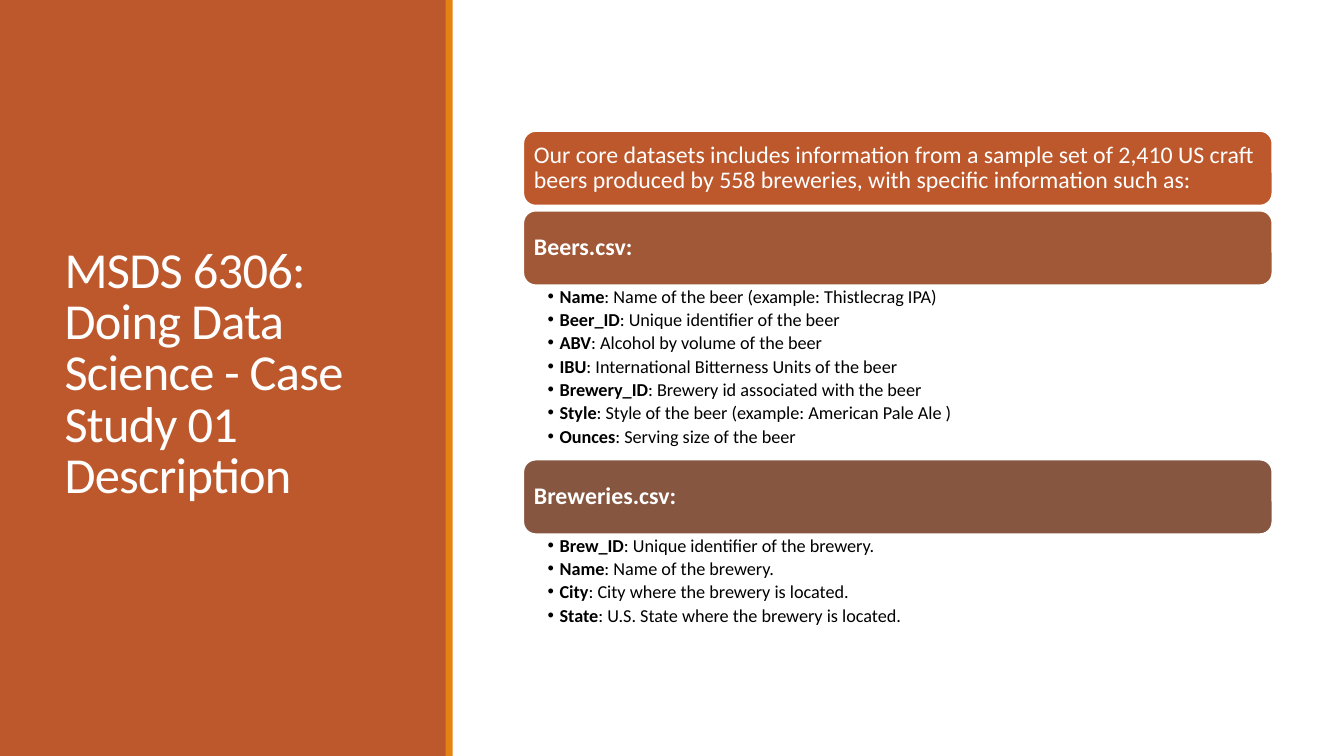
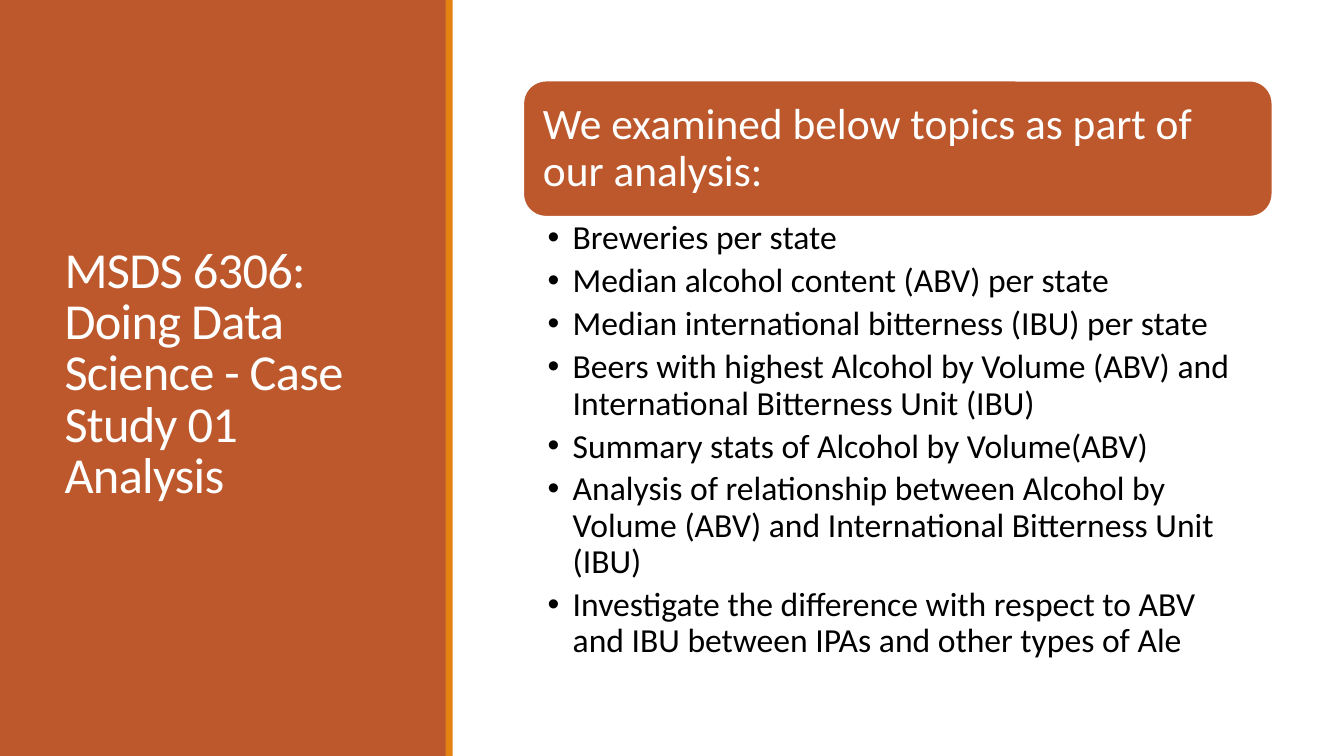
"""Build two case study slides with a title panel and headed lists."""
from pptx import Presentation
from pptx.dml.color import RGBColor
from pptx.enum.shapes import MSO_SHAPE
from pptx.enum.text import MSO_ANCHOR, MSO_AUTO_SIZE, PP_ALIGN
from pptx.util import Inches, Pt

RUST = RGBColor(0xBD, 0x58, 0x2C)
ORANGE = RGBColor(0xE4, 0x83, 0x12)
SIENNA = RGBColor(0xA0, 0x58, 0x37)
BROWN = RGBColor(0x86, 0x56, 0x40)
WHITE = RGBColor(0xFF, 0xFF, 0xFF)
BLACK = RGBColor(0, 0, 0)
FONT = "Calibri"
LEFT, WIDTH = 5.19, 7.43
GAP = 0.05
TITLE = "MSDS 6306: Doing Data Science - Case Study 01 "

BEERS = [
    ("Name", ": Name of the beer (example: Thistlecrag IPA)"),
    ("Beer_ID", ": Unique identifier of the beer"),
    ("ABV", ": Alcohol by volume of the beer"),
    ("IBU", ": International Bitterness Units of the beer"),
    ("Brewery_ID", ": Brewery id associated with the beer"),
    ("Style", ": Style of the beer (example: American Pale Ale )"),
    ("Ounces", ": Serving size of the beer"),
]
BREWERIES = [
    ("Brew_ID", ": Unique identifier of the brewery."),
    ("Name", ": Name of the brewery."),
    ("City", ": City where the brewery is located."),
    ("State", ": U.S. State where the brewery is located."),
]
TOPICS = [
    ("", "Breweries per state"),
    ("", "Median alcohol content (ABV) per state"),
    ("", "Median international bitterness (IBU) per state"),
    ("", "Beers with highest Alcohol by Volume (ABV) and International Bitterness Unit (IBU)"),
    ("", "Summary stats of Alcohol by Volume(ABV)"),
    ("", "Analysis of relationship between Alcohol by Volume (ABV) and International Bitterness Unit (IBU)"),
    ("", "Investigate the difference with respect to ABV and IBU between IPAs and other types of Ale"),
]


def place(sp, left, top, width, height):
    """Move and size a shape, in inches."""
    sp.left, sp.top = Inches(left), Inches(top)
    sp.width, sp.height = Inches(width), Inches(height)


def set_frame(tf, anchor, left, top, right, bottom):
    """Set anchor, wrapping and insets of a text frame."""
    tf.word_wrap = True
    tf.auto_size = MSO_AUTO_SIZE.NONE
    tf.vertical_anchor = anchor
    tf.margin_left, tf.margin_right = Inches(left), Inches(right)
    tf.margin_top, tf.margin_bottom = Inches(top), Inches(bottom)


def set_paragraph(p, line_spacing, after=0):
    """Left-align a paragraph and set its spacing."""
    p.alignment = PP_ALIGN.LEFT
    p.line_spacing = line_spacing
    p.space_before, p.space_after = Pt(0), Pt(after)


def add_run(p, text, size, color, bold=False):
    """Append a formatted run."""
    r = p.add_run()
    r.text = text
    r.font.name, r.font.size, r.font.bold = FONT, Pt(size), bold
    r.font.color.rgb = color
    return r


def add_box(slide, kind, box, fill):
    """Add a filled shape without outline or shadow."""
    sp = slide.shapes.add_shape(kind, *map(Inches, box))
    sp.shadow.inherit = False
    sp.fill.solid()
    sp.fill.fore_color.rgb = fill
    sp.line.fill.background()
    return sp


def add_master_panel(prs, slide):
    """Draw the side panel and its stripe, and move both to the master."""
    bands = [((0, 0, 4.43, 7.5), RUST), ((4.42, 0, 0.07, 7.5), ORANGE)]
    for i, (box, fill) in enumerate(bands):
        el = add_box(slide, MSO_SHAPE.RECTANGLE, box, fill).element
        el.nvSpPr.cNvPr.set("id", str(100 + i))
        prs.slide_master.shapes.element.insert(2 + i, el)


def set_title(slide, topic):
    """Fill the title placeholder on the side panel."""
    sp = slide.shapes.title
    place(sp, 0.54, 0.57, 3.37, 6.31)
    set_frame(sp.text_frame, MSO_ANCHOR.MIDDLE, 0.1, 0.05, 0.1, 0.05)
    p = sp.text_frame.paragraphs[0]
    set_paragraph(p, 0.85)
    r = add_run(p, TITLE + topic, 36, WHITE)
    r.font._element.set("spc", "-50")


def add_header(slide, text, top, height, fill, size, inset, bold=False):
    """Add a rounded header bar."""
    sp = add_box(slide, MSO_SHAPE.ROUNDED_RECTANGLE, (LEFT, top, WIDTH, height), fill)
    sp.line.color.rgb, sp.line.width = WHITE, Pt(1.25)
    set_frame(sp.text_frame, MSO_ANCHOR.MIDDLE, inset, inset, inset, inset)
    p = sp.text_frame.paragraphs[0]
    set_paragraph(p, 0.9)
    add_run(p, text, size, WHITE, bold)


def fill_list(sp, items, top, height, size, indent, insets):
    """Fill a body placeholder with bullets, each an optional bold term and a text."""
    place(sp, LEFT, top, WIDTH, height)
    tf = sp.text_frame
    set_frame(tf, MSO_ANCHOR.TOP, *insets)
    for i, (term, text) in enumerate(items):
        p = tf.add_paragraph() if i else tf.paragraphs[0]
        set_paragraph(p, 0.9, 0.2 * size)
        pPr = p._p.get_or_add_pPr()
        pPr.set("marL", str(Inches(indent)))
        pPr.set("indent", str(-Inches(indent)))
        if term:
            add_run(p, term, size, BLACK, True)
        add_run(p, text, size, BLACK)


def build_description(slide):
    """Build the slide that describes the two data files."""
    set_title(slide, "Description")
    bodies = iter(list(slide.placeholders)[1:])
    bar = 0.74
    top = 1.3
    add_header(slide, "Our core datasets includes information from a sample set of 2,410 US craft "
               "beers produced by 558 breweries, with specific information such as:",
               top, bar, RUST, 17, 0.07)
    top += bar + GAP
    sections = [("Beers.csv:", SIENNA, BEERS, 1.73), ("Breweries.csv:", BROWN, BREWERIES, 0.98)]
    for name, fill, items, height in sections:
        add_header(slide, name, top, bar, fill, 17, 0.07, True)
        fill_list(next(bodies), items, top + bar, height, 13, 0.12, (0.24, 0.02, 0.13, 0.02))
        top += bar + height


def build_analysis(slide):
    """Build the slide that lists the topics of the analysis."""
    set_title(slide, "Analysis")
    add_header(slide, "We examined below topics as part of our analysis:", 0.8, 1.35, RUST, 31, 0.13)
    fill_list(slide.placeholders[1], TOPICS, 2.15, 4.63, 24, 0.25, (0.24, 0.04, 0.24, 0.04))


def main():
    """Create and save the presentation."""
    prs = Presentation()
    prs.slide_width, prs.slide_height = Inches(13.33), Inches(7.5)
    description = prs.slides.add_slide(prs.slide_layouts.get_by_name("Two Content"))
    add_master_panel(prs, description)
    build_description(description)
    build_analysis(prs.slides.add_slide(prs.slide_layouts.get_by_name("Title and Content")))
    prs.save("out.pptx")


if __name__ == "__main__":
    main()
